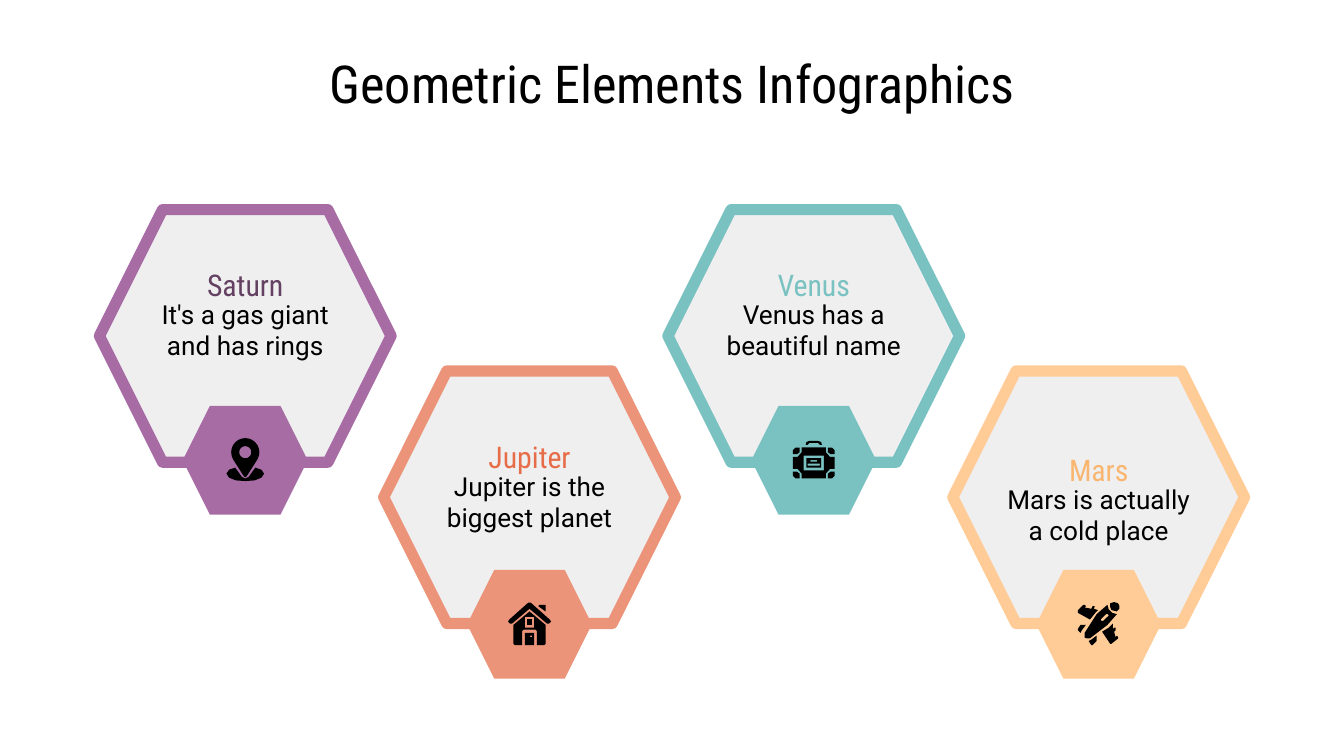
"""Build the slide of four planet hexagons with badges and icons."""
from dataclasses import dataclass
from math import cos, radians, sin

from pptx import Presentation
from pptx.dml.color import RGBColor
from pptx.enum.shapes import MSO_SHAPE
from pptx.enum.text import MSO_ANCHOR, PP_ALIGN
from pptx.util import Pt

HEXAGON = MSO_SHAPE.HEXAGON
CENTER = PP_ALIGN.CENTER
TOP, MIDDLE = MSO_ANCHOR.TOP, MSO_ANCHOR.MIDDLE
PX = 4572
WIDE, HIGH = 2000, 1125


@dataclass(frozen=True)
class Theme:
    """Hold colours, fonts and type sizes."""
    ink: str = "000000"
    pale: str = "EFEFEF"
    plum: str = "A86CA5"
    dark: str = "644162"
    coral: str = "EB9479"
    red: str = "E76D48"
    teal: str = "79C2C1"
    sand: str = "FFCC97"
    gold: str = "F9B671"
    head: str = "Roboto Condensed"
    body: str = "Roboto"
    title: int = 28
    name: int = 16
    note: int = 14
    edge: int = 6


THEME = Theme()


def arc(x, y, size, start=0, end=345):
    """Return points along a circle, angles running clockwise from the right."""
    turns = [radians(a) for a in range(start, end + 1, 15)]
    return [(x + size * cos(a), y + size * sin(a)) for a in turns]


def box(left, top, right, base):
    """Return the corners of a rectangle."""
    return [(left, top), (right, top), (right, base), (left, base)]


def flip(points):
    """Mirror points from left to right."""
    return [(-x, y) for x, y in points]


def both(half):
    """Close a left half with its mirror image."""
    return half + flip(half)[::-1]


def drop(points):
    """Mirror points about the middle line of the suitcase."""
    return [(x, 8 - y) for x, y in points]


CORNER = [(-27, -19), (-31, -15), (-31, -9), (-25, -9), (-21, -12), (-21, -19)]
SIDE = [(-18, -19), (-18, -12), (-24, -5), (-31, -5)]

PIN = [
    [arc(0, -12, 21, 150, 390) + [(2, 24), (0, 25), (-2, 24)], arc(0, -12, 9)],
    [both([(0, 27), (-5, 25), (-15, 11), (-24, 14), (-28, 20), (-24, 26),
           (-14, 30), (0, 31)])],
]
HOUSE = [
    [[(15, -29), (13, -27), (24, -19), (24, -29)]],
    [both([(0, -23), (-26, -1), (-29, -1), (-32, -4), (-30, -7), (-2, -32)])],
    [both([(0, -19), (-24, 1), (-24, 29), (-22, 31), (-11, 31), (-11, 10),
           (-9, 8)]), box(-7, -11, 7, 5)],
    [box(-4, -7, 4, 1)],
    [box(-7, 13, 7, 31), box(1, 17, 4, 19)],
]
CASE = [
    [CORNER], [flip(CORNER)], [drop(CORNER)], [flip(drop(CORNER))],
    [both(SIDE + drop(SIDE)[::-1]), box(-15, -7, 15, 15)],
    [box(-11, -3, 11, 11), box(-5, 0, 5, 2), box(-9, 5, 9, 8)],
    [both([(-6, -26), (-9, -23), (-12, -23), (-11, -27), (-6, -29)])],
]
PLANE = [
    [[(-25, 1), (-27, 1), (-31, 7), (-31, 9), (-27, 13), (-25, 9), (-19, 1)]],
    [[(21, -1), (15, 5), (5, 11), (17, 29), (19, 29), (29, 21), (29, 19),
      (27, 17), (25, 19), (23, 11), (25, 9), (25, 5), (23, 5), (21, 7)]],
    [[(-21, -29), (-23, -29), (-31, -21), (-31, -17), (-13, -7), (-5, -17),
      (-1, -21), (-7, -23), (-6, -27), (-9, -27), (-11, -23), (-21, -25),
      (-19, -27)]],
    [[(-3, 17), (-11, 23), (-15, 25), (-11, 31), (-9, 31), (-3, 25)]],
    [[(23, -33), (17, -31), (17, -26), (19, -21), (27, -19), (31, -23),
      (31, -27), (29, -31)]],
    [[(13, -29), (-3, -15), (-21, 13), (-21, 20), (-17, 21), (-13, 21),
      (13, 1), (27, -15), (20, -17), (15, -22)],
     [(14, -15), (15, -13), (7, -5), (4, -5), (3, -7), (11, -15)]],
]


def paint(shape, fill, line=None):
    """Set fill and outline and drop the shadow."""
    shape.shadow.inherit = False
    shape.fill.solid()
    shape.fill.fore_color.rgb = RGBColor.from_string(fill)
    if line:
        shape.line.color.rgb = RGBColor.from_string(line)
        shape.line.width = Pt(THEME.edge)
    else:
        shape.line.fill.background()


def add_hex(slide, mid, top, wide, high, fill, line=None):
    """Add a hexagon centred on mid."""
    frame = [v * PX for v in (mid - wide // 2, top, wide, high)]
    paint(slide.shapes.add_shape(HEXAGON, *frame), fill, line)


def add_text(slide, mid, top, wide, high, text, font, size, color, anchor=MIDDLE):
    """Add a line of centred text in a box centred on mid."""
    frame = [v * PX for v in (mid - wide // 2, top, wide, high)]
    area = slide.shapes.add_textbox(*frame).text_frame
    area.word_wrap = True
    area.vertical_anchor = anchor
    area.margin_left = area.margin_right = 20 * PX
    area.margin_top = area.margin_bottom = 20 * PX
    para = area.paragraphs[0]
    para.text = text
    para.alignment = CENTER
    para.font.name = font
    para.font.size = Pt(size)
    para.font.color.rgb = RGBColor.from_string(color)


def add_icon(slide, mid, level, parts):
    """Draw each part of an icon as an outline, with its holes."""
    for loops in parts:
        pen = None
        for loop in loops:
            spots = [(round((mid + x) * PX), round((level + y) * PX))
                     for x, y in loop]
            if pen:
                pen.move_to(*spots[0])
            else:
                pen = slide.shapes.build_freeform(*spots[0])
            pen.add_line_segments(spots[1:], close=True)
        paint(pen.convert_to_shape(), THEME.ink)


def add_card(slide, mid, low, top, name, note, tone, shade, icon):
    """Add one planet with its frame, badge, texts and icon."""
    badge = 604 + 244 * low
    add_hex(slide, mid, 312 + 240 * low, 434, 376, THEME.pale, tone)
    add_hex(slide, mid, badge, 186, 162, tone)
    add_text(slide, mid, top + 46, 316, 96, note, THEME.body, THEME.note, THEME.ink)
    add_text(slide, mid, top, 316, 54, name, THEME.head, THEME.name, shade)
    add_icon(slide, mid, badge + 81, icon)


def main():
    """Build and save the slide."""
    deck = Presentation()
    deck.slide_width, deck.slide_height = WIDE * PX, HIGH * PX
    slide = deck.slides.add_slide(deck.slide_layouts[6])
    add_text(slide, WIDE // 2, 56, 1842, 126, "Geometric Elements Infographics",
             THEME.head, THEME.title, THEME.ink, TOP)
    cards = [
        (396, "Saturn", "It's a gas giant and has rings", THEME.plum, THEME.dark, PIN),
        (652, "Jupiter", "Jupiter is the biggest planet", THEME.coral, THEME.red, HOUSE),
        (396, "Venus", "Venus has a beautiful name", THEME.teal, THEME.teal, CASE),
        (672, "Mars", "Mars is actually a cold place", THEME.sand, THEME.gold, PLANE),
    ]
    for i, card in enumerate(cards):
        add_card(slide, 365 + 1270 * i // 3, i % 2, *card)
    deck.save("out.pptx")


if __name__ == "__main__":
    main()
